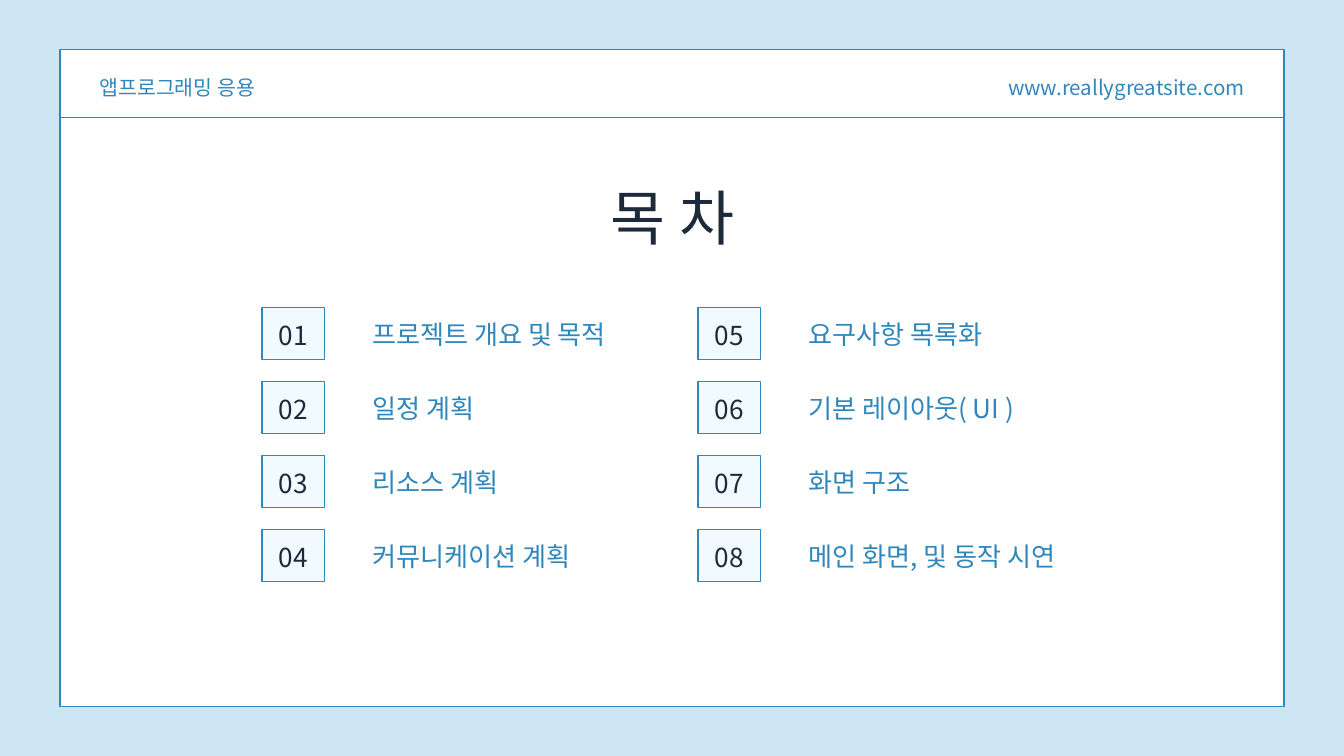
import pptx
import pptx.dml.color
import pptx.enum.shapes
import pptx.enum.text
import pptx.oxml.ns
import pptx.util
import lxml.etree

Inches = pptx.util.Inches
Pt = pptx.util.Pt
RGBColor = pptx.dml.color.RGBColor
Align = pptx.enum.text.PP_ALIGN
qn = pptx.oxml.ns.qn

SKY = RGBColor(0xCE, 0xE6, 0xF4)
WHITE = RGBColor(0xFF, 0xFF, 0xFF)
ICE = RGBColor(0xF1, 0xFA, 0xFF)
BLUE = RGBColor(0x30, 0x87, 0xBB)
NAVY = RGBColor(0x1D, 0x2A, 0x3A)
FONT = "Noto Sans CJK KR"

COLUMNS = [
    ["프로젝트 개요 및 목적", "일정 계획", "리소스 계획", "커뮤니케이션 계획"],
    ["요구사항 목록화", "기본 레이아웃( UI )", "화면 구조", "메인 화면, 및 동작 시연"],
]
LEFT, TOP = 3.9, 4.58
COL_STEP, ROW_STEP = 6.49, 1.1


def add_box(slide, left, top, width, height, fill):
    box = slide.shapes.add_shape(
        pptx.enum.shapes.MSO_SHAPE.RECTANGLE,
        Inches(left), Inches(top), Inches(width), Inches(height))
    box.shadow.inherit = False
    box.fill.solid()
    box.fill.fore_color.rgb = fill
    box.line.color.rgb = BLUE
    box.line.width = Pt(1.5)


def add_rule(slide, left, right, top):
    rule = slide.shapes.add_connector(
        pptx.enum.shapes.MSO_CONNECTOR.STRAIGHT,
        Inches(left), Inches(top), Inches(right), Inches(top))
    rule.line.color.rgb = BLUE
    rule.line.width = Pt(1.5)
    lxml.etree.SubElement(rule._element.spPr, qn("a:effectLst"))


def add_text(slide, text, left, top, width, height, size, lead,
             color=BLUE, align=Align.LEFT):
    box = slide.shapes.add_textbox(
        Inches(left), Inches(top), Inches(width), Inches(height))
    frame = box.text_frame
    frame.word_wrap = True
    frame.margin_left = frame.margin_right = 0
    frame.margin_top = frame.margin_bottom = 0
    para = frame.paragraphs[0]
    para.text = text
    para.alignment = align
    para.line_spacing = Pt(lead)
    para.font.size = Pt(size)
    para.font.color.rgb = color
    para.font.name = FONT
    east = lxml.etree.SubElement(para.font._element, qn("a:ea"))
    east.set("typeface", FONT)


def add_item(slide, number, label, left, top):
    add_box(slide, left, top, 0.93, 0.77, ICE)
    add_text(slide, f"{number:02}", left - 0.18, top + 0.18, 1.29, 0.45,
             28, 33.6, NAVY, Align.CENTER)
    add_text(slide, label, left + 1.64, top + 0.16, 4.25, 0.47, 28, 33.6)


def main():
    deck = pptx.Presentation()
    deck.slide_width = Inches(20)
    deck.slide_height = Inches(11.25)
    slide = deck.slides.add_slide(deck.slide_layouts[6])
    slide.background.fill.solid()
    slide.background.fill.fore_color.rgb = SKY

    add_box(slide, 0.89, 0.74, 18.22, 9.77, WHITE)
    add_rule(slide, 0.89, 19.11, 1.75)
    add_text(slide, "앱프로그래밍 응용", 1.48, 1.06, 3.22, 0.42, 22, 30.8)
    add_text(slide, "www.reallygreatsite.com", 14.41, 1.06, 4.11, 0.42,
             22, 30.8, align=Align.RIGHT)
    add_text(slide, "목 차", 6.94, 2.51, 6.13, 1.19, 64, 89.6,
             NAVY, Align.CENTER)

    for col, labels in enumerate(COLUMNS):
        for row, label in enumerate(labels):
            add_item(slide, col * len(labels) + row + 1, label,
                     LEFT + col * COL_STEP, TOP + row * ROW_STEP)

    deck.save("out.pptx")


if __name__ == "__main__":
    main()
